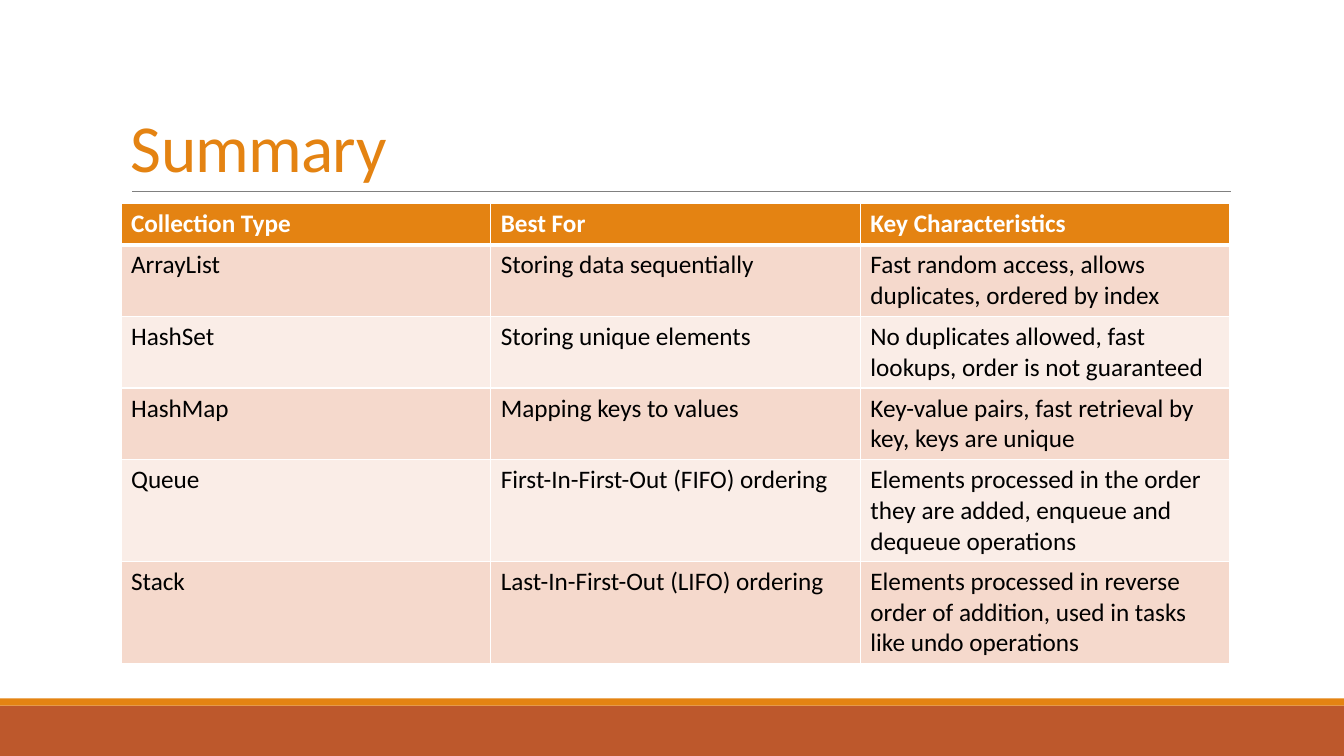
from dataclasses import dataclass

from lxml.etree import SubElement
from pptx import Presentation
from pptx.dml.color import RGBColor
from pptx.enum.shapes import MSO_CONNECTOR, MSO_SHAPE
from pptx.enum.text import MSO_ANCHOR
from pptx.oxml import parse_xml
from pptx.oxml.ns import nsdecls, qn
from pptx.util import Inches, Pt


@dataclass(frozen=True)
class Theme:
    font: str = "Calibri"
    title_size: float = 48
    table_size: float = 18
    orange: str = "E48312"
    rust: str = "BD582C"
    rule: str = "808080"
    white: str = "FFFFFF"
    black: str = "000000"
    bands: tuple = ("F5D9CC", "FAEDE7")


theme = Theme()


def write_text(frame, text, *, size, color, bold=False, line_spacing=None, tracking=None):
    paragraph = frame.paragraphs[0]
    paragraph.line_spacing = line_spacing
    run = paragraph.add_run()
    run.text = text
    run.font.name = theme.font
    run.font.size = Pt(size)
    run.font.bold = bold
    run.font.color.rgb = RGBColor.from_string(color)
    if tracking is not None:
        run.font._element.set("spc", str(int(tracking * 100)))


def set_borders(cell, **widths):
    properties = cell._tc.get_or_add_tcPr()
    for position, side in enumerate("LRTB"):
        border = parse_xml(
            f'<a:ln{side} {nsdecls("a")} w="{Pt(widths.get(side, 1))}">'
            f'<a:solidFill><a:srgbClr val="{theme.white}"/></a:solidFill></a:ln{side}>'
        )
        properties.insert(position, border)


presentation = Presentation()
presentation.slide_width = Inches(13.33)
presentation.slide_height = Inches(7.5)
slide = presentation.slides.add_slide(presentation.slide_layouts[6])

# Footer bands
for top, height, color in ((7, 0.5, theme.rust), (6.93, 0.07, theme.orange)):
    footer_band = slide.shapes.add_shape(
        MSO_SHAPE.RECTANGLE, 0, Inches(top), presentation.slide_width, Inches(height)
    )
    footer_band.shadow.inherit = False
    footer_band.fill.solid()
    footer_band.fill.fore_color.rgb = RGBColor.from_string(color)
    footer_band.line.fill.background()

# Rule under the title
title_rule = slide.shapes.add_connector(
    MSO_CONNECTOR.STRAIGHT, Inches(1.31), Inches(1.9), Inches(12.21), Inches(1.9)
)
title_rule.line.color.rgb = RGBColor.from_string(theme.rule)
title_rule.line.width = Pt(0.5)
SubElement(title_rule._element.spPr, qn("a:effectLst"))

# Title
title = slide.shapes.add_textbox(Inches(1.2), Inches(0.31), Inches(11), Inches(1.59))
title.text_frame.word_wrap = True
title.text_frame.vertical_anchor = MSO_ANCHOR.BOTTOM
write_text(title.text_frame, "Summary", size=theme.title_size, color=theme.orange,
           line_spacing=0.85, tracking=-0.5)

# Table of collections
collections = (
    ("Collection Type", "Best For", "Key Characteristics"),
    ("ArrayList", "Storing data sequentially",
     "Fast random access, allows duplicates, ordered by index"),
    ("HashSet", "Storing unique elements",
     "No duplicates allowed, fast lookups, order is not guaranteed"),
    ("HashMap", "Mapping keys to values",
     "Key-value pairs, fast retrieval by key, keys are unique"),
    ("Queue", "First-In-First-Out (FIFO) ordering",
     "Elements processed in the order they are added, enqueue and dequeue operations"),
    ("Stack", "Last-In-First-Out (LIFO) ordering",
     "Elements processed in reverse order of addition, used in tasks like undo operations"),
)
row_heights = (0.41, 0.71, 0.71, 0.71, 1.01, 1.01)
summary = slide.shapes.add_table(
    len(collections), len(collections[0]),
    Inches(1.2), Inches(2.02), Inches(11), Inches(sum(row_heights))
).table

for row, (entries, height) in enumerate(zip(collections, row_heights)):
    is_header = row == 0
    summary.rows[row].height = Inches(height)
    for column, entry in enumerate(entries):
        cell = summary.cell(row, column)
        cell.vertical_anchor = MSO_ANCHOR.MIDDLE if is_header else MSO_ANCHOR.TOP
        cell.fill.solid()
        fill_color = theme.orange if is_header else theme.bands[(row - 1) % 2]
        cell.fill.fore_color.rgb = RGBColor.from_string(fill_color)
        set_borders(cell, T=3 if row == 1 else 1, B=3 if is_header else 1)
        write_text(cell.text_frame, entry, size=theme.table_size, bold=is_header,
                   color=theme.white if is_header else theme.black)

presentation.save("out.pptx")
